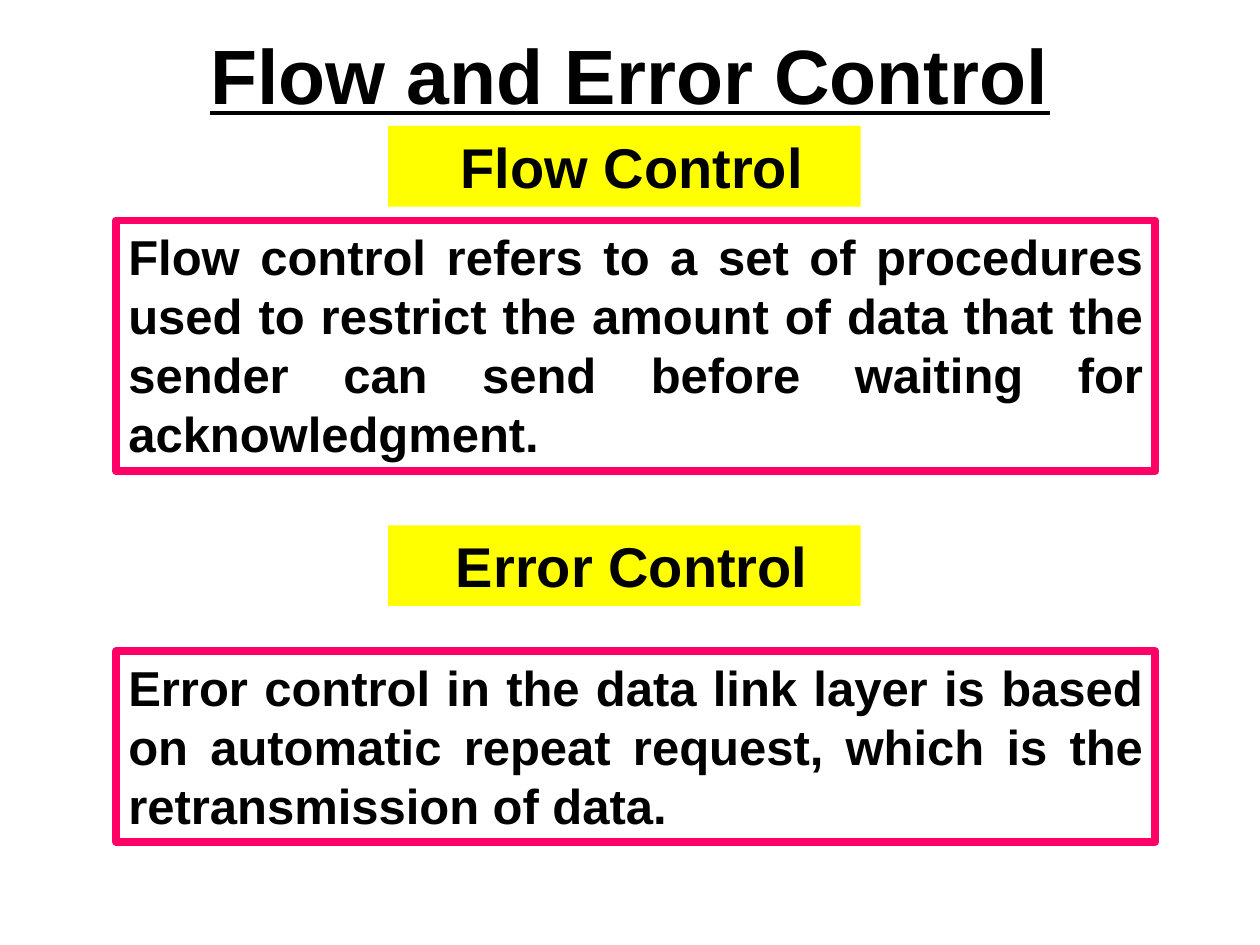
from pptx import Presentation
from pptx.dml.color import RGBColor
from pptx.enum.shapes import MSO_SHAPE
from pptx.enum.text import MSO_ANCHOR, MSO_AUTO_SIZE, PP_ALIGN
from pptx.util import Inches, Pt

BLACK = RGBColor(0, 0, 0)
WHITE = RGBColor(255, 255, 255)
YELLOW = RGBColor(255, 255, 0)
PINK = RGBColor(255, 0, 102)

SECTIONS = [
    ("Flow Control", 1, 1.75, 1.99,
     "Flow control refers to a set of procedures used to restrict the amount "
     "of data that the sender can send before waiting for acknowledgment."),
    ("Error Control", 4.17, 5.17, 1.51,
     "Error control in the data link layer is based on automatic repeat "
     "request, which is the retransmission of data."),
]


def write_text(sp, text, size, align):
    tf = sp.text_frame
    tf.word_wrap = True
    tf.auto_size = MSO_AUTO_SIZE.NONE
    tf.vertical_anchor = MSO_ANCHOR.TOP
    tf.margin_left = tf.margin_right = Inches(0.1)
    tf.margin_top = tf.margin_bottom = Inches(0.05)
    p = tf.paragraphs[0]
    p.text = text
    p.alignment = align
    p.line_spacing = Pt(size * 1.2)
    p.space_before = Pt(0)
    p.font.name = "Arial"
    p.font.size = Pt(size)
    p.font.bold = True
    p.font.color.rgb = BLACK
    return tf


def add_title(slide, left, top, width, height):
    sp = slide.shapes.title
    sp.left, sp.top = Inches(left), Inches(top)
    sp.width, sp.height = Inches(width), Inches(height)
    tf = write_text(sp, "Flow and Error Control", 44, PP_ALIGN.CENTER)
    tf.paragraphs[0].font.underline = True


def add_box(slide, left, top, width, height, fill):
    sp = slide.shapes.add_shape(MSO_SHAPE.RECTANGLE, Inches(left), Inches(top),
                                Inches(width), Inches(height))
    sp.shadow.inherit = False
    sp.fill.solid()
    sp.fill.fore_color.rgb = fill
    sp.line.fill.background()
    return sp


def add_heading(slide, left, top, width, height, text):
    sp = add_box(slide, left, top, width, height, YELLOW)
    tf = write_text(sp, text, 32, PP_ALIGN.CENTER)
    tf.margin_left = Inches(0.22)


def add_definition(slide, left, top, width, height, text):
    sp = add_box(slide, left, top, width, height, WHITE)
    sp.line.color.rgb = PINK
    sp.line.width = Pt(4.5)
    tf = write_text(sp, text, 28, PP_ALIGN.JUSTIFY)
    tf.paragraphs[0].space_after = Pt(10)


def main():
    prs = Presentation()
    prs.slide_width, prs.slide_height = Inches(10), Inches(7.5)
    slide = prs.slides.add_slide(prs.slide_layouts[5])
    add_title(slide, 0.75, 0.17, 8.5, 1.25)
    for heading, heading_top, body_top, body_height, body in SECTIONS:
        add_heading(slide, 3.08, heading_top, 3.75, 0.64, heading)
        add_definition(slide, 0.92, body_top, 8.25, body_height, body)
    prs.save("out.pptx")


if __name__ == "__main__":
    main()
